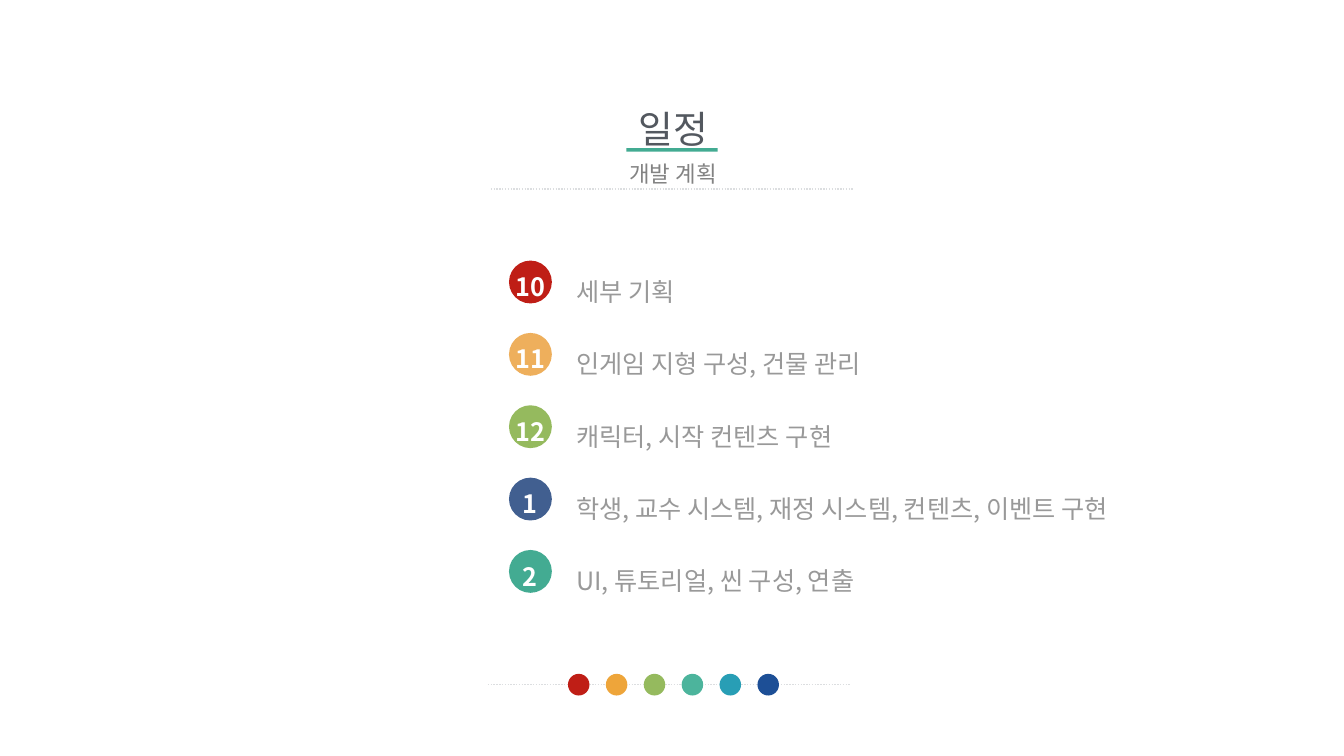
"""Builds the development schedule slide."""
from dataclasses import dataclass

from lxml import etree
from pptx import Presentation, util as u
from pptx.dml.color import RGBColor
from pptx.enum import dml, shapes, text
from pptx.oxml.ns import qn

WIDTH, HEIGHT = 26.67, 15
FONT = "Noto Sans CJK KR"


@dataclass
class Box:
    """A rectangle in percent of the slide's width and height."""
    left: float
    top: float
    width: float
    height: float


@dataclass
class Style:
    """The look of a block of text."""
    size: int
    color: str
    spacing: float
    align: text.PP_ALIGN = text.PP_ALIGN.CENTER
    anchor: text.MSO_ANCHOR = text.MSO_ANCHOR.TOP
    bold: bool = False
    before: int = 0
    inset_x: float = 0
    inset_y: float = 0


@dataclass
class Month:
    """A step of the schedule."""
    number: str
    color: str
    plan: str


MONTHS = [
    Month("10", "BF1E16", "세부 기획"),
    Month("11", "EEAF5C", "인게임 지형 구성, 건물 관리"),
    Month("12", "95BA5E", "캐릭터, 시작 컨텐츠 구현"),
    Month("1", "415F90", "학생, 교수 시스템, 재정 시스템, 컨텐츠, 이벤트 구현"),
    Month("2", "43AB92", "UI, 튜토리얼, 씬 구성, 연출"),
]
DOTS = ["BF1E16", "EEA53A", "95BA5E", "4CB49C", "289EB5", "1D4F96"]

TITLE = Style(54, "53585F", 1.3, anchor=text.MSO_ANCHOR.MIDDLE, inset_x=0.04, inset_y=0.04)
SUBTITLE = Style(32, "838383", 1.2)
NUMBER = Style(36, "FFFFFF", 1.3, anchor=text.MSO_ANCHOR.MIDDLE, bold=True)
PLAN = Style(36, "999999", 2, align=text.PP_ALIGN.LEFT, before=17, inset_x=0.1, inset_y=0.05)


def rgb(color: str) -> RGBColor:
    """Turns a hex string into a colour."""
    return RGBColor.from_string(color)


def across(share: float) -> int:
    """Gives a percentage of the slide's width."""
    return u.Inches(WIDTH * share / 100)


def down(share: float) -> int:
    """Gives a percentage of the slide's height."""
    return u.Inches(HEIGHT * share / 100)


def place(box: Box) -> tuple[int, int, int, int]:
    """Gives the left, top, width and height of a box."""
    return across(box.left), down(box.top), across(box.width), down(box.height)


def write(sp, lines: list[str], style: Style) -> None:
    """Fills a shape with one paragraph per line."""
    tf = sp.text_frame
    tf.word_wrap = True
    tf.auto_size = text.MSO_AUTO_SIZE.NONE
    tf.vertical_anchor = style.anchor
    tf.margin_left = tf.margin_right = u.Inches(style.inset_x)
    tf.margin_top = tf.margin_bottom = u.Inches(style.inset_y)
    tf.text = "\n".join(lines)
    for i, p in enumerate(tf.paragraphs):
        p.alignment = style.align
        p.line_spacing = style.spacing
        p.space_before = u.Pt(style.before if i else 0)
        for r in p.runs:
            r.font.size, r.font.bold, r.font.name = u.Pt(style.size), style.bold, FONT
            r.font.color.rgb = rgb(style.color)
            etree.SubElement(r.font._element, qn("a:ea"), typeface=FONT)


def add_label(parent, box: Box, lines: list[str], style: Style) -> None:
    """Adds a text box."""
    write(parent.add_textbox(*place(box)), lines, style)


def add_solid(parent, kind: shapes.MSO_SHAPE, box: Box, color: str):
    """Adds a filled shape without an outline."""
    sp = parent.add_shape(kind, *place(box))
    sp.shadow.inherit = False
    sp.fill.solid()
    sp.fill.fore_color.rgb = rgb(color)
    sp.line.fill.background()
    return sp


def add_rule(parent, left: float, right: float, top: float) -> None:
    """Adds a dotted horizontal line."""
    cx = parent.add_connector(shapes.MSO_CONNECTOR.STRAIGHT,
                              across(left), down(top), across(right), down(top))
    cx.line.color.rgb = rgb("DCDEE0")
    cx.line.width = u.Pt(2)
    cx.line.dash_style = dml.MSO_LINE.ROUND_DOT
    etree.SubElement(cx._element.spPr, qn("a:effectLst"))


def main() -> None:
    """Draws the slide and saves it."""
    prs = Presentation()
    prs.slide_width, prs.slide_height = u.Inches(WIDTH), u.Inches(HEIGHT)
    s = prs.slides.add_slide(prs.slide_layouts[5])

    title = s.shapes.title
    title.left, title.top, title.width, title.height = place(Box(34.12, 13.53, 31.91, 5))
    write(title, ["일정"], TITLE)
    add_rule(s.shapes, 36.52, 63.48, 25)
    add_label(s.shapes, Box(34.12, 20.47, 31.91, 3.13), ["개발 계획"], SUBTITLE)
    add_solid(s.shapes, shapes.MSO_SHAPE.RECTANGLE, Box(46.61, 19.6, 6.79, 0.47), "43AB92")

    footer = s.shapes.add_group_shape().shapes
    add_rule(footer, 36.3, 63.29, 90.53)
    for i, color in enumerate(DOTS):
        add_solid(footer, shapes.MSO_SHAPE.OVAL, Box(42.26 + 2.82 * i, 89.13, 1.6, 2.87), color)

    add_label(s.shapes, Box(42.52, 32.2, 42.33, 45.33), [m.plan for m in MONTHS], PLAN)
    for i, month in enumerate(MONTHS):
        box = Box(37.87, 34.47 + 9.57 * i, 3.19, 5.67)
        sp = add_solid(s.shapes, shapes.MSO_SHAPE.OVAL, box, month.color)
        write(sp, [month.number], NUMBER)

    prs.save("out.pptx")


if __name__ == "__main__":
    main()
